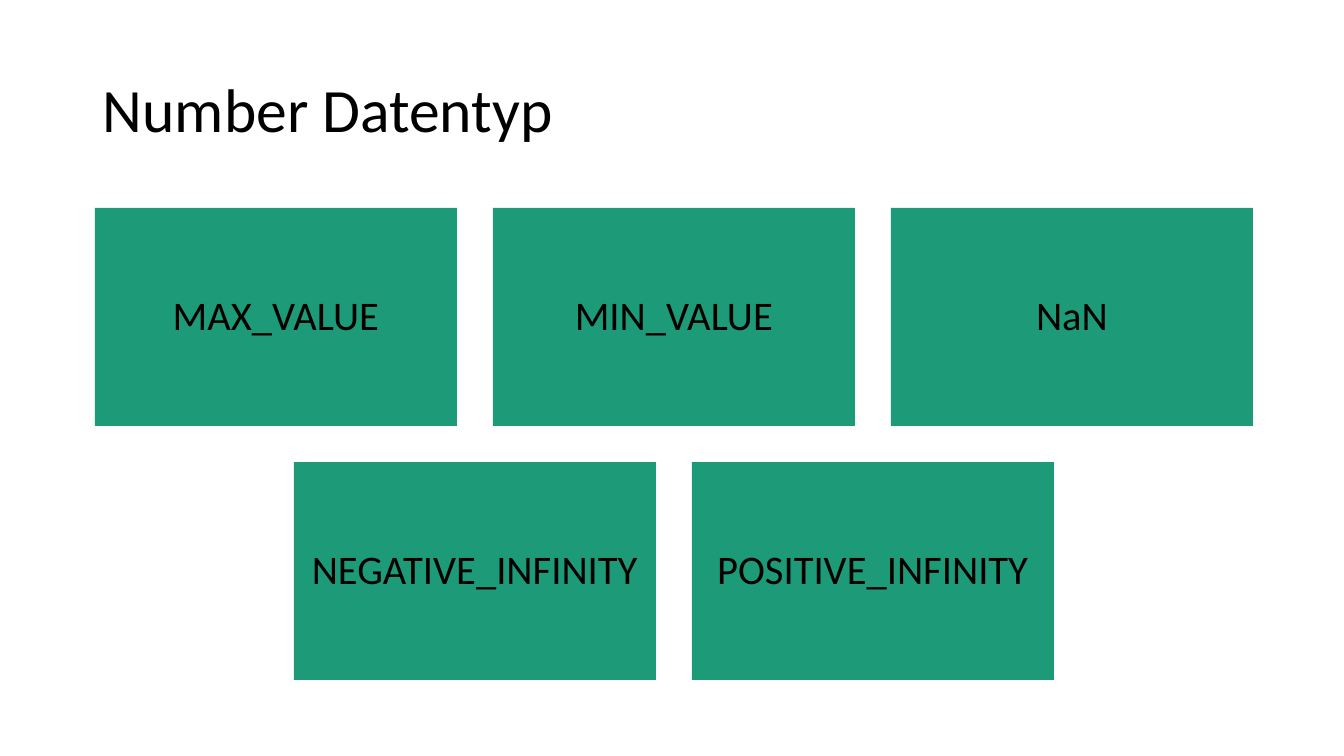
from pptx import Presentation, util as u
from pptx.dml.color import RGBColor
from pptx.enum import shapes, text

GREEN = RGBColor(0x1D, 0x9A, 0x78)
BLACK = RGBColor(0, 0, 0)
CENTER, TOP = 674, 208
WIDTH, HEIGHT, GAP = 362, 218, 36
ROWS = [
    ["MAX_VALUE", "MIN_VALUE", "NaN"],
    ["NEGATIVE_INFINITY", "POSITIVE_INFINITY"],
]


def px(n):
    return u.Emu(round(n * 914400 / 100.8))


def write(frame, words, size, align):
    frame.word_wrap = True
    frame.vertical_anchor = text.MSO_ANCHOR.MIDDLE
    line = frame.paragraphs[0]
    line.text = words
    line.alignment = align
    line.line_spacing = 0.9
    line.font.name = "Calibri"
    line.font.size = u.Pt(size)
    line.font.color.rgb = BLACK


prs = Presentation()
prs.slide_width, prs.slide_height = px(1344), px(756)
slide = prs.slides.add_slide(prs.slide_layouts[6])

title = slide.shapes.add_textbox(px(93), px(40), px(1159), px(146))
write(title.text_frame, "Number Datentyp", 44, text.PP_ALIGN.LEFT)

for row, constants in enumerate(ROWS):
    row_width = len(constants) * (WIDTH + GAP) - GAP
    left = CENTER - row_width // 2
    for column, constant in enumerate(constants):
        tile = slide.shapes.add_shape(
            shapes.MSO_SHAPE.RECTANGLE,
            px(left + column * (WIDTH + GAP)), px(TOP + row * (HEIGHT + GAP)),
            px(WIDTH), px(HEIGHT))
        tile.shadow.inherit = False
        tile.fill.solid()
        tile.fill.fore_color.rgb = GREEN
        tile.line.fill.background()
        frame = tile.text_frame
        frame.margin_left = frame.margin_right = px(12)
        frame.margin_top = frame.margin_bottom = px(12)
        write(frame, constant, 29, text.PP_ALIGN.CENTER)

prs.save("out.pptx")
